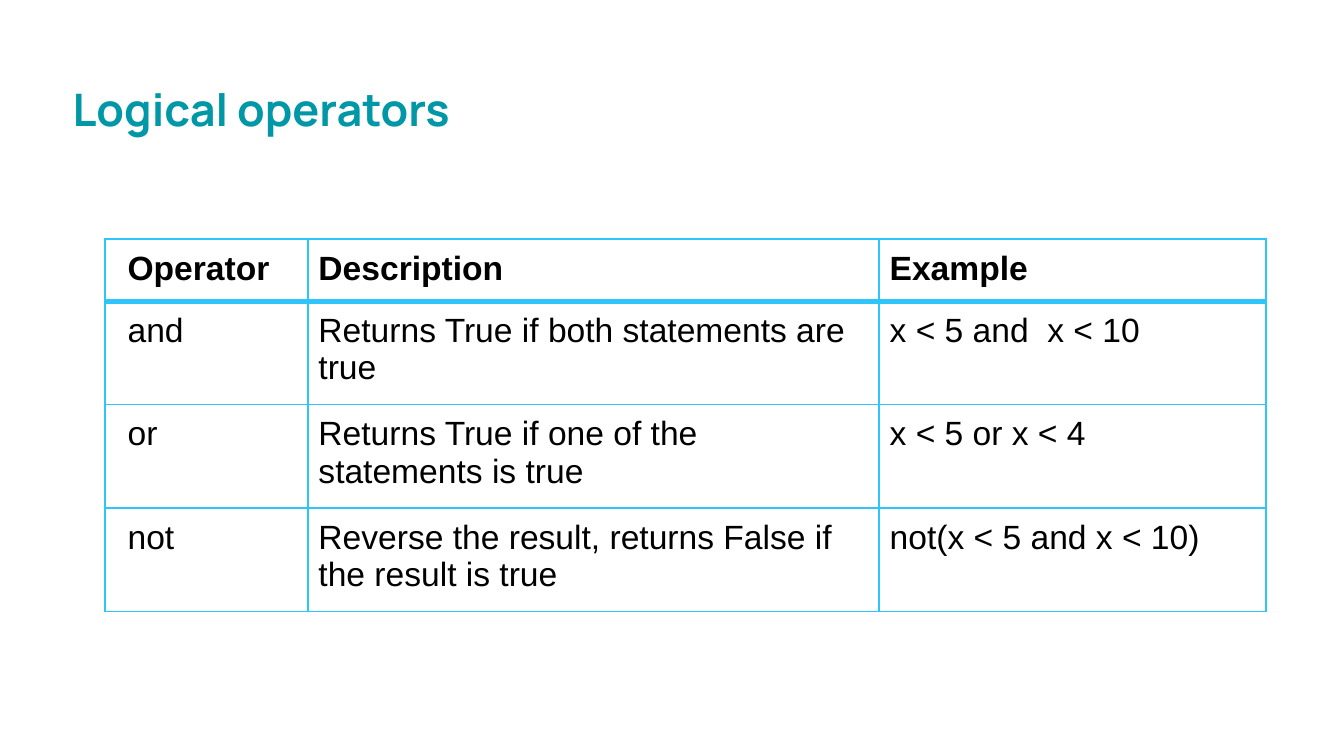
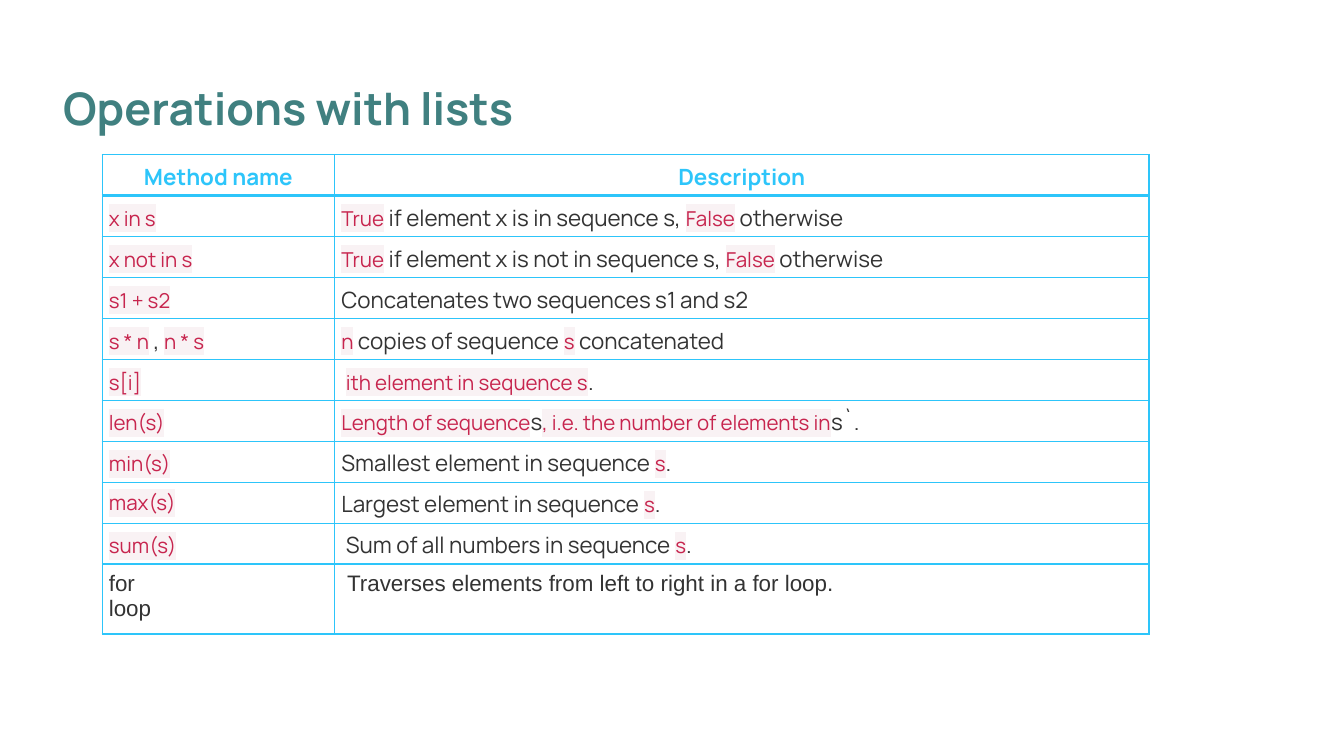
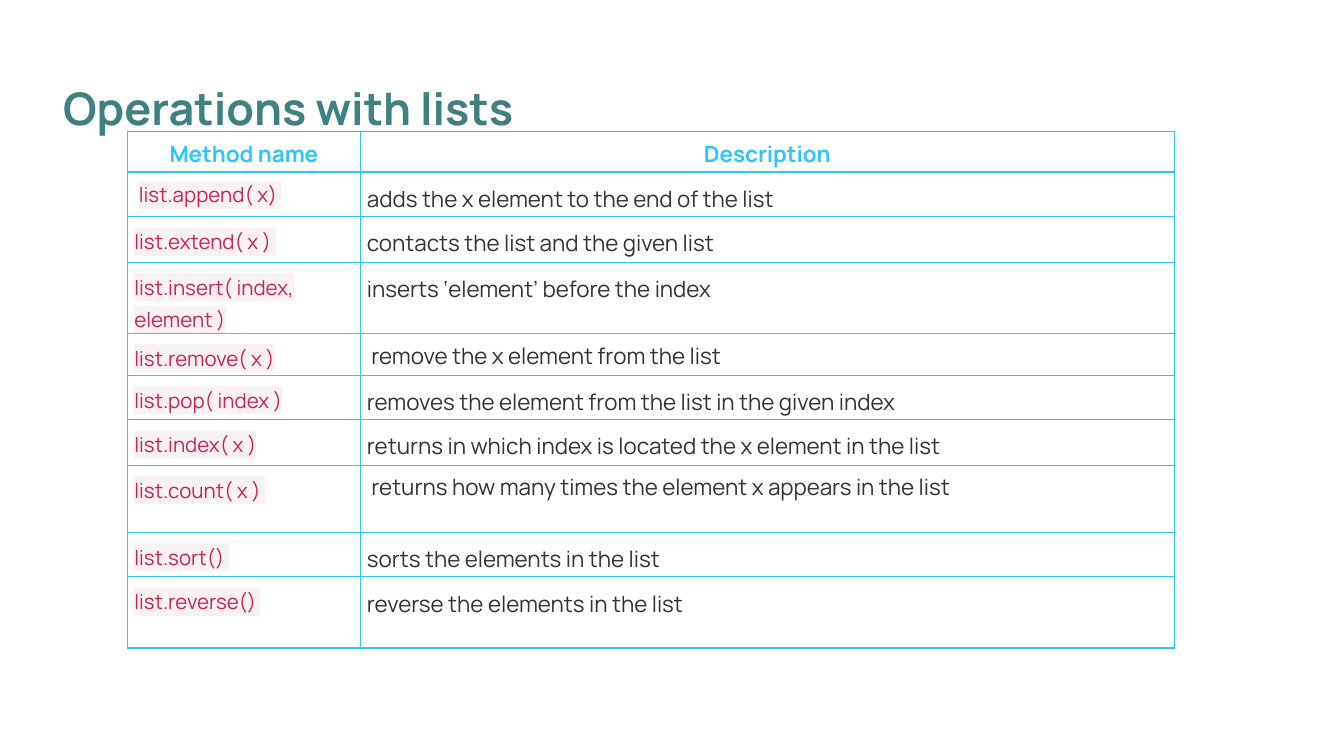
import lxml.etree
import pptx
import pptx.dml.color
import pptx.enum.text
import pptx.oxml.ns
import pptx.util

Inches = pptx.util.Inches
Pt = pptx.util.Pt
RGBColor = pptx.dml.color.RGBColor
Align = pptx.enum.text.PP_ALIGN
Anchor = pptx.enum.text.MSO_ANCHOR
qn = pptx.oxml.ns.qn

# Colours and fonts
BLACK = RGBColor(0x00, 0x00, 0x00)
WHITE = RGBColor(0xFF, 0xFF, 0xFF)
TEAL = RGBColor(0x00, 0x97, 0xA7)
GREEN = RGBColor(0x40, 0x80, 0x80)
SKY = RGBColor(0x2D, 0xC5, 0xFA)
GREY = RGBColor(0x33, 0x33, 0x33)
RED = RGBColor(0xC7, 0x25, 0x4E)
ROSE = RGBColor(0xF9, 0xF2, 0xF4)
SANS = "Arial"
BRAND = "Manrope"


def fill_xml(parent, tag, color):
    """Add a child that holds one plain colour."""
    node = lxml.etree.SubElement(parent, qn(tag))
    lxml.etree.SubElement(node, qn("a:srgbClr")).set("val", str(color))
    return node


def write(frame, text, size=12, font=BRAND, color=GREY, bold=False,
          align=Align.LEFT, lead=None):
    """Write one paragraph a line; parts between bars are set as code."""
    frame.word_wrap = True
    for num, line in enumerate(text.split("\n")):
        para = frame.add_paragraph() if num else frame.paragraphs[0]
        para.alignment = align
        if lead:
            para.line_spacing = lead
        for part, piece in enumerate(line.split("|")):
            if not piece:
                continue
            code = part % 2 == 1
            run = para.add_run()
            run.text = piece
            run.font.size = Pt(11 if code else size)
            run.font.bold = bold
            run.font.color.rgb = RED if code else color
            if code:
                fill_xml(run.font._element, "a:highlight", ROSE)
            run.font.name = font


class Deck:
    """Holds the style of the deck and the current slide."""

    def __init__(self):
        self.show = pptx.Presentation()
        self.show.slide_width = Inches(10)
        self.show.slide_height = Inches(10 * 9 / 16)
        self.slide = None

    def page(self, title, left, top, color):
        """Start a slide with its title."""
        self.slide = self.show.slides.add_slide(self.show.slide_layouts[5])
        box = self.slide.shapes.title
        box.left, box.top = Inches(left), Inches(top)
        box.width, box.height = Inches(9.08), Inches(0.61)
        frame = box.text_frame
        frame.margin_left = frame.margin_right = Inches(0.1)
        frame.margin_top = frame.margin_bottom = Inches(0.1)
        frame.vertical_anchor = Anchor.TOP
        frame.auto_size = pptx.enum.text.MSO_AUTO_SIZE.SHAPE_TO_FIT_TEXT
        write(frame, title, size=24, color=color, bold=True, lead=1.3)

    def grid(self, left, top, cols, rows):
        """Add a table without banding and give it back."""
        table = self.slide.shapes.add_table(
            len(rows), len(cols), Inches(left), Inches(top),
            Inches(sum(cols)), Inches(sum(rows))).table
        table.first_row = table.horz_banding = False
        for col, width in zip(table.columns, cols):
            col.width = Inches(width)
        for row, height in zip(table.rows, rows):
            row.height = Inches(height)
        return table

    def cell(self, cell, text, row, pad, thin, thick, inset=None, **form):
        """Fill a cell; the rule below the header row is thick."""
        props = cell._tc.get_or_add_tcPr()
        widths = {"L": thin, "R": thin,
                  "T": thick if row == 1 else thin,
                  "B": thick if row == 0 else thin}
        for side, width in widths.items():
            line = lxml.etree.SubElement(props, qn("a:ln" + side))
            line.set("w", str(Pt(width)))
            fill_xml(line, "a:solidFill", SKY)
        cell.fill.solid()
        cell.fill.fore_color.rgb = WHITE
        cell.margin_left = Inches(inset or pad)
        cell.margin_right = Inches(pad)
        cell.margin_top = cell.margin_bottom = Inches(pad)
        write(cell.text_frame, text, **form)

    def logic(self, left, top, cols, rows, data):
        """Add a plain table with a bold header."""
        table = self.grid(left, top, cols, rows)
        for row, texts in enumerate(data):
            for col, text in enumerate(texts):
                self.cell(table.cell(row, col), text, row, 0.08, 1, 3,
                          inset=0.17 if col == 0 else None, size=18,
                          font=SANS, color=BLACK, bold=row == 0)

    def methods(self, left, top, rows, data, lead=None):
        """Add a table of methods with a centred header."""
        table = self.grid(left, top, (1.73, 6.06), rows)
        head = [("Method name", "Description")]
        for row, texts in enumerate(head + data):
            for col, text in enumerate(texts):
                cell = table.cell(row, col)
                if row == 0:
                    cell.vertical_anchor = Anchor.BOTTOM
                    form = dict(color=SKY, bold=True, align=Align.CENTER)
                else:
                    # Texts that open with a space keep single spacing
                    form = dict(
                        lead=None if text.startswith(" ") else lead,
                        font=SANS if "loop" in text else BRAND)
                self.cell(cell, text, row, 0.05, 0.75, 1.5, **form)


LOGIC = [
    ("Operator", "Description", "Example"),
    ("and", "Returns True if both statements are true", "x < 5 and  x < 10"),
    ("or", "Returns True if one of the statements is true", "x < 5 or x < 4"),
    ("not", "Reverse the result, returns False if the result is true",
     "not(x < 5 and x < 10)"),
]

COMMON = [
    ("|x in s| ", "|True| if element x is in sequence s, |False| otherwise"),
    ("|x not in s| ",
     "|True| if element x is not in sequence s, |False| otherwise"),
    ("|s1 + s2| ", "Concatenates two sequences s1 and s2"),
    ("|s * n| , |n * s| ", "|n| copies of sequence |s| concatenated"),
    ("|s[i]| ", " |ith element in sequence s|."),
    ("|len(s)| ",
     "|Length of sequence|s|, i.e. the number of elements in|s`."),
    ("|min(s)| ", "Smallest element in sequence |s|."),
    ("|max(s)|", "Largest element in sequence |s|."),
    ("|sum(s)| ", " Sum of all numbers in sequence |s|."),
    ("for\nloop", " Traverses elements from left to right in a for loop."),
]

CHANGE = [
    (" |list.append( x) |", "adds the x element to the end of the list"),
    ("|list.extend( x ) |", "contacts the list and the given list"),
    ("|list.insert( index, element )|", "inserts ‘element’ before the index"),
    ("|list.remove( x )|", " remove the x element from the list"),
    ("|list.pop( index )|",
     "removes the element from the list in the given index"),
    ("|list.index( x )|",
     "returns in which index is located the x element in the list"),
    ("|list.count( x ) |",
     " returns how many times the element x appears in the list"),
    ("|list.sort() |", "sorts the elements in the list"),
    ("|list.reverse() |", "reverse the elements in the list"),
]


def main():
    deck = Deck()

    # Logical operators
    deck.page("Logical operators", 0.44, 0.39, TEAL)
    deck.logic(0.78, 1.78, (1.51, 4.25, 2.88), [0.46] + [0.77] * 3, LOGIC)

    # Operations that read a list
    deck.page("Operations with lists", 0.37, 0.38, GREEN)
    deck.methods(0.76, 1.15, [3.05 / 10] * 10 + [0.52], COMMON)

    # Operations that change a list
    deck.page("Operations with lists", 0.37, 0.38, GREEN)
    rows = [0.3, 0.33, 0.34, 0.53, 0.31, 0.33, 0.34, 0.5, 0.33, 0.53]
    deck.methods(0.95, 0.98, rows, CHANGE, lead=1.15)

    deck.show.save("out.pptx")


if __name__ == "__main__":
    main()
